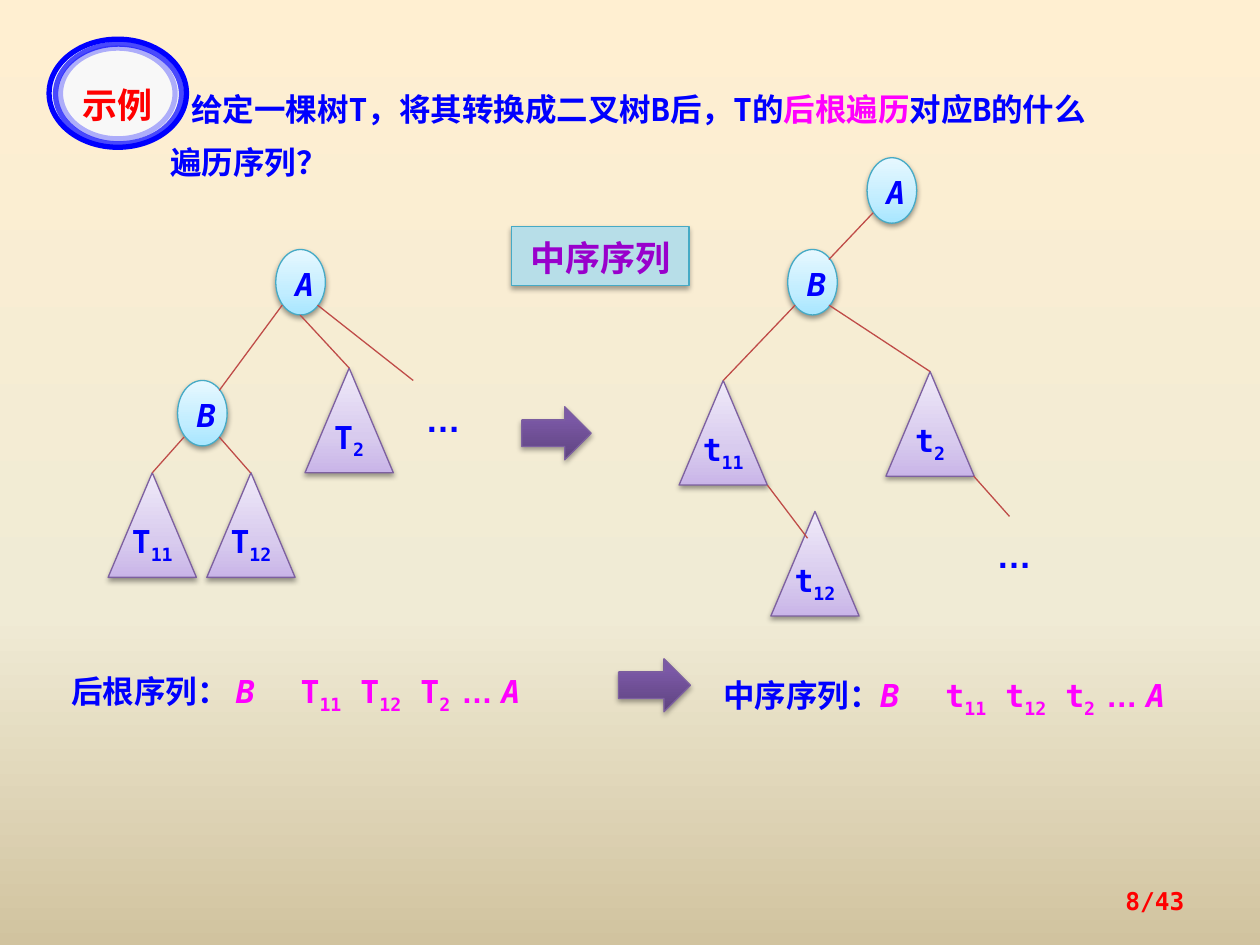
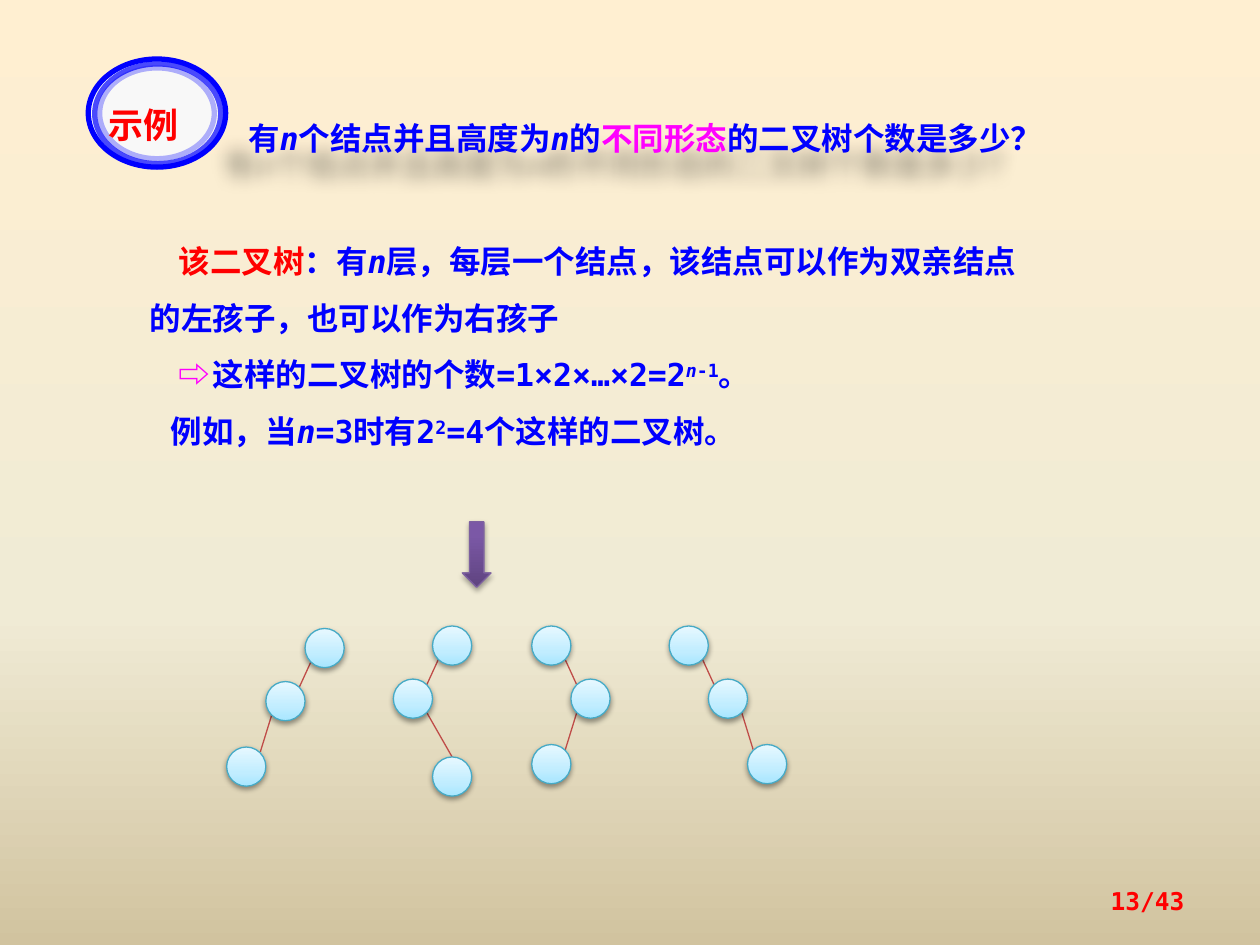
from dataclasses import dataclass
from typing import NamedTuple

from lxml.etree import SubElement
from pptx import Presentation
from pptx.dml.color import RGBColor
from pptx.enum.shapes import MSO_CONNECTOR, MSO_SHAPE
from pptx.enum.text import MSO_ANCHOR, MSO_AUTO_SIZE, PP_ALIGN
from pptx.oxml.ns import qn
from pptx.util import Cm, Pt

# Shared style
MONO, SANS, HAN = "DejaVu Sans Mono", "Arial", "Noto Sans CJK JP"
BLUE, PINK, RED, PLUM = "0000FF", "FF00FF", "FF0000", "9900CC"
TEAL, EDGE, PALE = "46AAC5", "BF4C48", "F8F8F8"
BACK = [(0, "FFEFD1"), (65, "F0EBD5"), (100, "D1C39F")]
LEFT, MID, RIGHT = PP_ALIGN.LEFT, PP_ALIGN.CENTER, PP_ALIGN.RIGHT


class Box(NamedTuple):
    x: float
    y: float
    w: float
    h: float


class Run(NamedTuple):
    text: str
    tint: str = ""
    slant: bool = False
    base: int = 0
    face: str = ""


@dataclass
class Para:
    runs: list[Run]
    size: float = 18
    tint: str = BLUE
    face: str = MONO
    gap: float | Pt = 1.0
    align: PP_ALIGN = LEFT
    indent: float = 0
    tab: float = 0


@dataclass
class Look:
    stops: list[tuple[int, str]]
    line: str
    alpha: int
    dist: float


@dataclass
class Tree:
    x: float
    y: float
    sides: tuple[int, int]
    drop: float = 1.32
    top: bool = False


NODE = Look([(0, "A7E6FF"), (35, "C1EDFF"), (100, "E7F8FF")], TEAL, 38, 1.6)
CONE = Look([(0, "C9B5E8"), (35, "D8CBEE"), (100, "F0EAF9")], "7D60A0", 38, 1.6)
ARROW = Look([(0, "5F4480"), (80, "7B58A6"), (100, "7C57A8")], "7D60A0", 35, 1.8)


# Drawing tools
def rgb(code: str) -> RGBColor:
    return RGBColor.from_string(code)


def grade(fill, root, stops: list[tuple[int, str]], angle: int) -> None:
    fill.gradient()
    fill.gradient_angle = angle
    group = next(root.iter(qn("a:gsLst")))
    for old in list(group):
        group.remove(old)
    for pos, code in stops:
        stop = SubElement(group, qn("a:gs"), pos=str(pos * 1000))
        SubElement(stop, qn("a:srgbClr"), val=code)


def shade(shape, alpha: int, blur: float, dist: float, angle: int = 90) -> None:
    shape.shadow.inherit = False
    effects = shape._element.spPr.find(qn("a:effectLst"))
    cast = SubElement(effects, qn("a:outerShdw"), blurRad=str(Pt(blur)), dist=str(Pt(dist)),
                      dir=str(angle * 60000), algn="ctr", rotWithShape="0")
    color = SubElement(cast, qn("a:srgbClr"), val="000000")
    SubElement(color, qn("a:alpha"), val=str(alpha * 1000))


def write(shape, paras: list[Para], anchor=MSO_ANCHOR.TOP, inset: float | None = None) -> None:
    frame = shape.text_frame
    frame.auto_size = MSO_AUTO_SIZE.NONE
    frame.word_wrap = True
    frame.vertical_anchor = anchor
    if inset is not None:
        frame.margin_left = frame.margin_right = Cm(inset)
        frame.margin_top = frame.margin_bottom = Cm(inset)
    for i, para in enumerate(paras):
        p = frame.add_paragraph() if i else frame.paragraphs[0]
        props = p._p.get_or_add_pPr()
        if para.indent:
            props.set("marL", "0")
            props.set("indent", str(Cm(para.indent)))
        if para.tab:
            tabs = SubElement(props, qn("a:tabLst"))
            SubElement(tabs, qn("a:tab"), pos=str(Cm(para.tab)), algn="l")
        p.alignment = para.align
        p.line_spacing = para.gap
        font = p.font
        font.size, font.bold, font.name = Pt(para.size), True, para.face
        font.color.rgb = rgb(para.tint)
        SubElement(props.find(qn("a:defRPr")), qn("a:ea"), typeface=HAN)
        for part in para.runs:
            run = p.add_run()
            run.text = part.text
            if part.tint:
                run.font.color.rgb = rgb(part.tint)
            if part.slant:
                run.font.italic = True
            if part.face:
                run.font.name = part.face
            if part.base:
                run._r.get_or_add_rPr().set("baseline", str(part.base * 1000))


def label(slide, box: Box, paras: list[Para], anchor=MSO_ANCHOR.TOP) -> None:
    write(slide.shapes.add_textbox(*map(Cm, box)), paras, anchor)


def shape(slide, kind: MSO_SHAPE, box: Box, line: str, width: float = 0.75):
    item = slide.shapes.add_shape(kind, *map(Cm, box))
    item.shadow.inherit = False
    item.line.color.rgb = rgb(line)
    item.line.width = Pt(width)
    return item


def glossy(slide, kind: MSO_SHAPE, box: Box, look: Look):
    item = shape(slide, kind, box, look.line)
    grade(item.fill, item._element, look.stops, 90)
    shade(item, look.alpha, 3.1, look.dist)
    return item


def edge(slide, x1: float, y1: float, x2: float, y2: float) -> None:
    link = slide.shapes.add_connector(MSO_CONNECTOR.STRAIGHT, *map(Cm, (x1, y1, x2, y2)))
    link.line.color.rgb = rgb(EDGE)
    link.line.width = Pt(0.75)
    SubElement(link._element.spPr, qn("a:effectLst"))


def badge(slide, x: float, y: float, align: PP_ALIGN) -> None:
    rings = [(Box(0, 0, 2.77, 2.18), 100), (Box(0.13, 0.1, 2.54, 2.01), 70),
             (Box(0.23, 0.18, 2.31, 1.83), 30)]
    for box, alpha in rings:
        ring = shape(slide, MSO_SHAPE.OVAL, Box(x + box.x, y + box.y, box.w, box.h), BLUE, 3)
        if alpha == 100:
            ring.fill.solid()
            ring.fill.fore_color.rgb = rgb(PALE)
        else:
            ring.fill.background()
            color = next(ring._element.spPr.find(qn("a:ln")).iter(qn("a:srgbClr")))
            SubElement(color, qn("a:alpha"), val=str(alpha * 1000))
    text = Para([Run("示例")], 20, RED, HAN, 1.1, align)
    label(slide, Box(x + 0.16, y + 0.68, 2.44, 1.1), [text])


def start(deck, box: Box, title: Para, page: str):
    slide = deck.slides.add_slide(deck.slide_layouts[5])
    head = slide.shapes.title
    head.left, head.top, head.width, head.height = map(Cm, box)
    write(head, [title])
    label(slide, Box(18.21, 17.65, 5.92, 1.02),
          [Para([Run(page)], 14, RED, align=RIGHT)], MSO_ANCHOR.MIDDLE)
    return slide


def order(name: str, sign: str, tab: float) -> Para:
    runs = [Run(name), Run("B", PINK, True), Run("\t" + sign, PINK), Run("11", PINK, base=-25),
            Run(" " + sign, PINK), Run("12", PINK, base=-25),
            Run(" " + sign, PINK), Run("2 ", PINK, base=-25),
            Run("… ", PINK, face=SANS), Run("A", PINK, True)]
    return Para(runs, gap=Pt(30), tab=tab)


# Slide 1: tree turned into a binary tree
def convert(deck) -> None:
    title = Para([Run("给定一棵树T，将其转换成二叉树B后，T的"), Run("后根遍历", PINK),
                  Run("对应B的什么遍历序列？")], gap=Pt(30), indent=0.42)
    slide = start(deck, Box(3.18, 1.4, 19.25, 2.29), title, "8/43")

    # Traversal orders
    label(slide, Box(1.19, 13.23, 11.07, 1.32), [order("后根序列： ", "T", 4.62)])
    label(slide, Box(14.33, 13.31, 10.49, 1.32), [order("中序序列：", "t", 4.48)])
    for box in (Box(12.47, 13.28, 1.45, 1.07), Box(10.52, 8.2, 1.4, 1.07)):
        glossy(slide, MSO_SHAPE.RIGHT_ARROW, box, ARROW)

    # Nodes and subtrees
    for name, x, y in [("A", 17.48, 3.18), ("A", 5.56, 5.03),
                       ("B", 3.58, 7.67), ("B", 15.88, 5.03)]:
        node = glossy(slide, MSO_SHAPE.OVAL, Box(x, y, 1, 1.32), NODE)
        write(node, [Para([Run(name, slant=True)], gap=1.1, align=MID)], MSO_ANCHOR.MIDDLE)
    for name, sub, x, y in [("T", "11", 2.18, 9.53), ("T", "12", 4.17, 9.53),
                            ("T", "2", 6.15, 7.42), ("t", "11", 13.69, 7.67),
                            ("t", "12", 15.54, 10.31), ("t", "2", 17.86, 7.49)]:
        cone = glossy(slide, MSO_SHAPE.ISOSCELES_TRIANGLE, Box(x, y, 1.78, 2.11), CONE)
        text = Para([Run(name), Run(sub, base=-25)], gap=Pt(16), align=MID)
        write(cone, [text], MSO_ANCHOR.MIDDLE, 0)
    for x, y in [(8.33, 7.67), (19.84, 10.41)]:
        label(slide, Box(x, y, 1.4, 1.32), [Para([Run("…")], 20, face=SANS, gap=Pt(30))])

    # Edges of the tree, then of the binary tree
    for ends in [(5.69, 6.15, 4.42, 7.87), (6.05, 6.35, 7.04, 7.42), (6.4, 6.15, 8.33, 7.67),
                 (3.71, 8.81, 3.07, 9.53), (4.42, 8.81, 5.05, 9.53),
                 (17.6, 4.29, 16.71, 5.23), (16.03, 6.15, 14.58, 7.67),
                 (16.71, 6.15, 18.75, 7.49), (15.47, 9.78, 16.28, 10.85),
                 (19.63, 9.6, 20.35, 10.41)]:
        edge(slide, *ends)

    # Answer
    answer = shape(slide, MSO_SHAPE.RECTANGLE, Box(10.31, 4.57, 3.58, 1.19), TEAL)
    answer.fill.solid()
    answer.fill.fore_color.rgb = rgb("B7DEE8")
    shade(answer, 35, 3.1, 1.8)
    write(answer, [Para([Run("中序序列")], 20, PLUM, gap=Pt(26), align=MID)])
    badge(slide, 0.99, 0.79, MID)


def grow(slide, tree: Tree) -> None:
    size = 0.79
    near, far = 0.15 * size, 0.85 * size
    x, y = tree.x, tree.y
    spots = [(x, y)]
    for side, drop in zip(tree.sides, (1.07, tree.drop)):
        x, y = x + side * size, y + drop
        spots.append((x, y))
    for i, side in enumerate(tree.sides):
        (x1, y1), (x2, y2) = spots[i], spots[i + 1]
        out, into = (far, near) if side > 0 else (near, far)
        if tree.top and i == 1:
            edge(slide, x1 + out, y1 + far, x2 + size / 2, y2)
        else:
            edge(slide, x1 + out, y1 + far, x2 + into, y2 + near)
    for x, y in spots:
        glossy(slide, MSO_SHAPE.OVAL, Box(x, y, size, size), NODE)


# Slide 2: counting binary trees of height n
def count(deck) -> None:
    n = Run("n", slant=True)
    title = Para([Run("有"), n, Run("个结点并且高度为"), n, Run("的"),
                  Run("不同形态", PINK), Run("的二叉树个数是多少？")], gap=Pt(30))
    slide = start(deck, Box(4.75, 1.98, 18.85, 1.22), title, "13/43")
    shade(slide.shapes.title, 35, 10, 20, 135)

    # Reasoning
    label(slide, Box(2.77, 4.37, 18.47, 4.75), [
        Para([Run("该二叉树", RED), Run("：有"), n,
              Run("层，每层一个结点，该结点可以作为双亲结点的左孩子，也可以作为右孩子")],
             gap=1.5, indent=0.58),
        Para([Run("⇨", PINK), Run("\t这样的二叉树的个数=1×2×…×2=2"),
              Run("n", slant=True, base=30), Run("-1", base=30), Run("。")],
             gap=1.5, indent=0.58, tab=1.5),
        Para([Run("例如，当"), n, Run("=3时有2"), Run("2", base=30),
              Run("=4个这样的二叉树。")], gap=1.5, indent=0.42)])

    # The four trees for n = 3
    glossy(slide, MSO_SHAPE.DOWN_ARROW, Box(9.32, 10.52, 0.58, 1.32), ARROW)
    for tree in [Tree(6.15, 12.67, (-1, -1)), Tree(8.72, 12.62, (-1, 1), 1.57, True),
                 Tree(10.72, 12.62, (1, -1)), Tree(13.49, 12.62, (1, 1))]:
        grow(slide, tree)
    badge(slide, 1.78, 1.19, LEFT)


def main() -> None:
    deck = Presentation()
    deck.slide_width, deck.slide_height = Cm(25.4), Cm(19.05)
    master = deck.slide_master
    grade(master.background.fill, master._element, BACK, 270)
    convert(deck)
    count(deck)
    deck.save("out.pptx")


if __name__ == "__main__":
    main()
